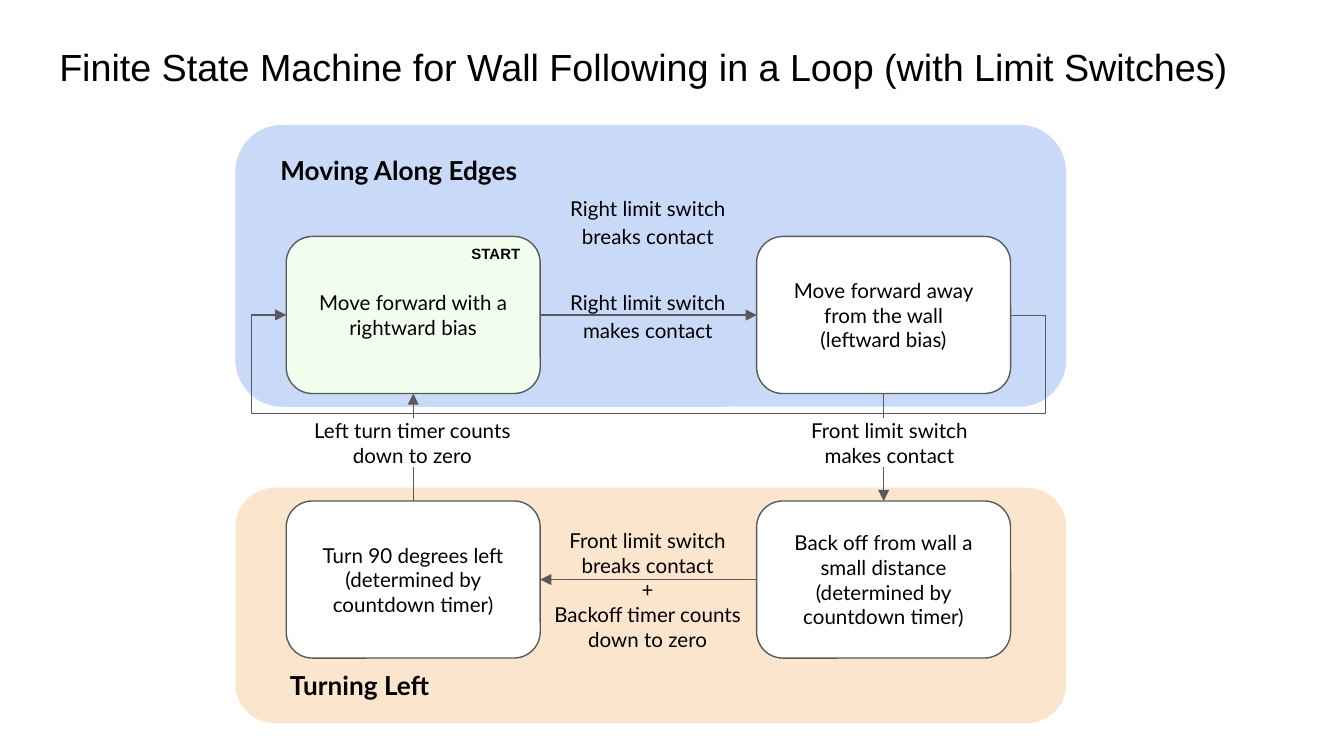
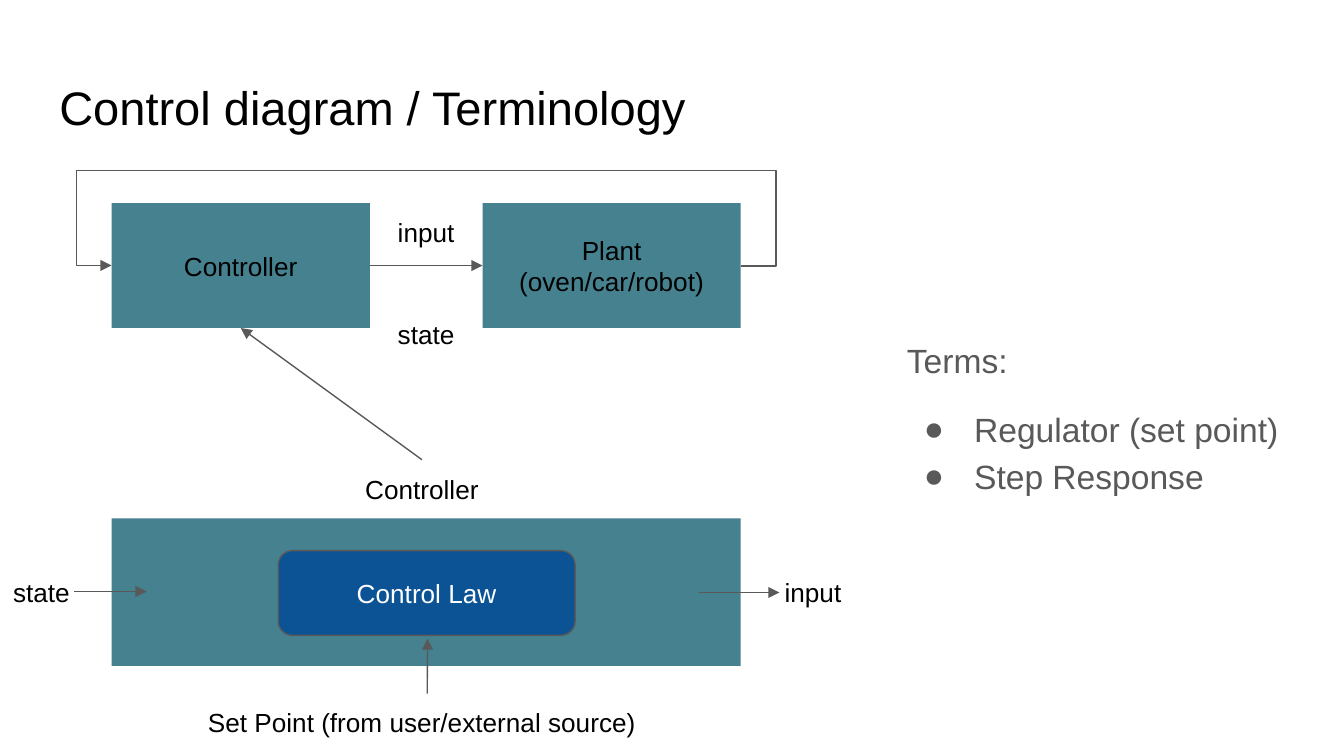
import pptx
import pptx.dml.color
import pptx.enum.shapes
import pptx.enum.text
import pptx.oxml
import pptx.oxml.ns
import pptx.util

Cm, Pt = pptx.util.Cm, pptx.util.Pt
color = pptx.dml.color.RGBColor.from_string
qn = pptx.oxml.ns.qn
SubElement = pptx.oxml.xmlchemy.OxmlElement
ROUND = pptx.enum.shapes.MSO_SHAPE.ROUNDED_RECTANGLE
RECT = pptx.enum.shapes.MSO_SHAPE.RECTANGLE
LEFT, CENTER = pptx.enum.text.PP_ALIGN.LEFT, pptx.enum.text.PP_ALIGN.CENTER
TOP, MIDDLE = pptx.enum.text.MSO_ANCHOR.TOP, pptx.enum.text.MSO_ANCHOR.MIDDLE
BLACK, WHITE, GRAY = "000000", "FFFFFF", "595959"
TEAL, BLUE = "45818E", "0B5394"
TOP_SITE, LEFT_SITE, BOTTOM_SITE, RIGHT_SITE = range(4)


def add_box(slide, kind, bounds, lines=(), font="Arial", size=14, ink=BLACK, bold=False,
            align=CENTER, spacing=None, highlight=None, fill=None, outline=None):
    """Place a title, body, label or preset shape and write its lines."""
    bounds = [Cm(length) for length in bounds]
    if kind == "title":
        shape = slide.shapes.title
    elif kind == "body":
        shape = slide.placeholders[1]
    elif kind == "label":
        shape = slide.shapes.add_textbox(*bounds)
    else:
        shape = slide.shapes.add_shape(kind, *bounds)
        shape.shadow.inherit = False
        shape.fill.solid()
        shape.fill.fore_color.rgb = color(fill)
        if outline:
            shape.line.color.rgb = color(outline)
            shape.line.width = Pt(0.75)
        else:
            shape.line.fill.background()
    shape.left, shape.top, shape.width, shape.height = bounds

    frame = shape.text_frame
    frame.word_wrap = True
    sizing = pptx.enum.text.MSO_AUTO_SIZE
    frame.auto_size = sizing.SHAPE_TO_FIT_TEXT if kind == "label" else sizing.NONE
    frame.vertical_anchor = MIDDLE if kind in (ROUND, RECT) else TOP
    frame.margin_left = frame.margin_right = Cm(0.25)
    frame.margin_top = frame.margin_bottom = Cm(0.25)
    for index, line in enumerate(lines):
        paragraph = frame.add_paragraph() if index else frame.paragraphs[0]
        paragraph.alignment = align
        paragraph.space_before = Pt(0)
        if spacing:
            paragraph.line_spacing = spacing
        run = paragraph.add_run()
        run.text = line
        run.font.name = font
        run.font.size = Pt(size)
        run.font.bold = bold
        run.font.color.rgb = color(ink)
        if highlight:
            mark = SubElement("a:highlight")
            swatch = SubElement("a:srgbClr")
            swatch.set("val", highlight)
            mark.append(swatch)
            run.font._element.find(qn("a:solidFill")).addnext(mark)
    return shape


def add_arrow(slide, start, end, overhang=0, rise=0):
    """Draw an arrow; each end is a point or a (shape, site) pair.

    With an overhang it loops around both shapes, shifted vertically by rise.
    """
    kinds = pptx.enum.shapes.MSO_CONNECTOR
    ends = [(0, 0) if hasattr(place[0], "shape_id") else place for place in (start, end)]
    connector = slide.shapes.add_connector(
        kinds.ELBOW if overhang else kinds.STRAIGHT,
        *[Cm(value) for point in ends for value in point])
    if hasattr(start[0], "shape_id"):
        connector.begin_connect(*start)
    if hasattr(end[0], "shape_id"):
        connector.end_connect(*end)
    if overhang:
        connector.height = Cm(0.01)
        side = Cm(overhang) / connector.width
        geometry = connector._element.spPr.find(qn("a:prstGeom"))
        geometry.set("prst", "bentConnector5")
        guides = geometry.find(qn("a:avLst"))
        for number, ratio in enumerate((-side, Cm(rise) / connector.height, 1 + side), 1):
            guide = SubElement("a:gd")
            guide.set("name", f"adj{number}")
            guide.set("fmla", f"val {round(ratio * 100000)}")
            guides.append(guide)
    connector.line.color.rgb = color(GRAY)
    connector.line.width = Pt(0.75)
    head = SubElement("a:tailEnd")
    head.set("type", "triangle")
    connector.line._get_or_add_ln().append(head)
    connector._element.spPr.append(SubElement("a:effectLst"))


presentation = pptx.Presentation()
presentation.slide_width, presentation.slide_height = Cm(25.4), Cm(14.29)

# Slides and titles
machine = presentation.slides.add_slide(presentation.slide_layouts[5])
control = presentation.slides.add_slide(presentation.slide_layouts[1])
for slide, top, size, title in (
    (machine, 0.58, 20.2,
     "Finite State Machine for Wall Following in a Loop (with Limit Switches)"),
    (control, 1.24, 25.2, "Control diagram / Terminology"),
):
    add_box(slide, "title", (0.87, top, 23.67, 1.6), [title], size=size, align=LEFT)

# State machine: phase bands
for top, height, fill in ((9.22, 4.45, "FCE5CD"), (2.36, 5.33, "C9DAF8")):
    add_box(machine, ROUND, (4.45, top, 15.7, height), fill=fill)

# State machine: states on a two by two grid
states = {}
for column, row, fill, lines in (
    (0, 0, "F2FFEE", ["Move forward with a rightward bias"]),
    (1, 0, WHITE, ["Move forward away from the wall", "(leftward bias)"]),
    (1, 1, WHITE, ["Back off from wall a small distance (determined by countdown timer)"]),
    (0, 1, WHITE, ["Turn 90 degrees left", "(determined by countdown timer)"]),
):
    states[column, row] = add_box(
        machine, ROUND, (5.41 + 8.89 * column, 4.47 + 5 * row, 4.8, 2.97), lines,
        font="Lato", size=11, fill=fill, outline=GRAY)

# State machine: transitions
follow, leave, back_off, turn = (states[key] for key in ((0, 0), (1, 0), (1, 1), (0, 1)))
add_arrow(machine, (follow, RIGHT_SITE), (leave, LEFT_SITE))
add_arrow(machine, (leave, BOTTOM_SITE), (back_off, TOP_SITE))
add_arrow(machine, (back_off, LEFT_SITE), (turn, RIGHT_SITE))
add_arrow(machine, (turn, TOP_SITE), (follow, BOTTOM_SITE))
add_arrow(machine, (leave, RIGHT_SITE), (follow, LEFT_SITE), overhang=0.66, rise=-1.85)

# State machine: transition labels
for bounds, spacing, highlight, lines in (
    ((10.11, 5.16, 4.27, 1.52), 1.15, None, ["Right limit switch makes contact"]),
    ((10.11, 3.38, 4.27, 1.52), 1.15, None, ["Right limit switch breaks contact"]),
    ((14.6, 7.65, 4.42, 1.45), None, WHITE, ["Front limit switch makes contact"]),
    ((9.98, 9.73, 4.52, 2.87), None, None,
     ["Front limit switch breaks contact", "+", "Backoff timer counts down to zero"]),
    ((5.66, 7.65, 4.27, 1.45), None, WHITE, ["Left turn timer counts down to zero"]),
):
    add_box(machine, "label", bounds, lines, font="Lato", size=11,
            spacing=spacing, highlight=highlight)

# State machine: headings
for bounds, text, font, size in (
    ((5.05, 2.67, 5.21, 1.12), "Moving Along Edges", "Lato", 14),
    ((5.23, 12.4, 5.21, 1.12), "Turning Left", "Lato", 14),
    ((8.66, 4.45, 1.55, 0.86), "START", "Arial", 8),
):
    add_box(machine, "label", bounds, [text], font=font, size=size, bold=True, align=LEFT)

# Control diagram: blocks
plant = add_box(control, RECT, (9.12, 3.84, 4.88, 2.36), ["Plant", "(oven/car/robot)"], fill=TEAL)
controller = add_box(control, RECT, (2.11, 3.84, 4.88, 2.36), ["Controller"], fill=TEAL)
add_box(control, RECT, (2.11, 9.8, 11.89, 2.79), fill=TEAL)
add_box(control, ROUND, (5.26, 10.41, 5.61, 1.6), ["Control Law"],
        ink=WHITE, fill=BLUE, outline=GRAY)

# Control diagram: labels
for left, top, text in (
    (6.99, 5.77, "state"), (6.99, 3.84, "input"),
    (-0.28, 10.64, "state"), (14.3, 10.64, "input"),
):
    add_box(control, "label", (left, top, 2.13, 1.12), [text])
detail = add_box(control, "label", (5.74, 8.69, 4.47, 1.12), ["Controller"])
set_point = add_box(control, "label", (3.68, 13.11, 8.79, 1.12),
                    ["Set Point (from user/external source)"], align=LEFT)

# Control diagram: signals
add_arrow(control, (controller, RIGHT_SITE), (plant, LEFT_SITE))
add_arrow(control, (plant, RIGHT_SITE), (controller, LEFT_SITE), overhang=0.67, rise=1.8)
add_arrow(control, (1.4, 11.18), (2.77, 11.18))
add_arrow(control, (13.21, 11.2), (14.73, 11.2))
add_arrow(control, (detail, TOP_SITE), (controller, BOTTOM_SITE))
add_arrow(control, (set_point, TOP_SITE), (8.08, 12.07))

# Control diagram: list of terms
terms = add_box(control, "body", (16.89, 6.07, 7.65, 4.06),
                ["Terms:", "Regulator (set point)", "Step Response"],
                size=18, ink=GRAY, align=LEFT, spacing=1.15)
heading, *items = terms.text_frame.paragraphs
items[0].space_before = Pt(12)
for paragraph in (heading, *items):
    properties = paragraph._element.get_or_add_pPr()
    bulleted = paragraph is not heading
    properties.set("marL", str(Cm(1.27) if bulleted else 0))
    properties.set("indent", str(Cm(-0.95) if bulleted else 0))
    if bulleted:
        bullet_color = SubElement("a:buClr")
        swatch = SubElement("a:srgbClr")
        swatch.set("val", GRAY)
        bullet_color.append(swatch)
        bullet = SubElement("a:buChar")
        bullet.set("char", "●")
        properties.append(bullet_color)
        properties.append(bullet)
    else:
        properties.append(SubElement("a:buNone"))

presentation.save("out.pptx")
